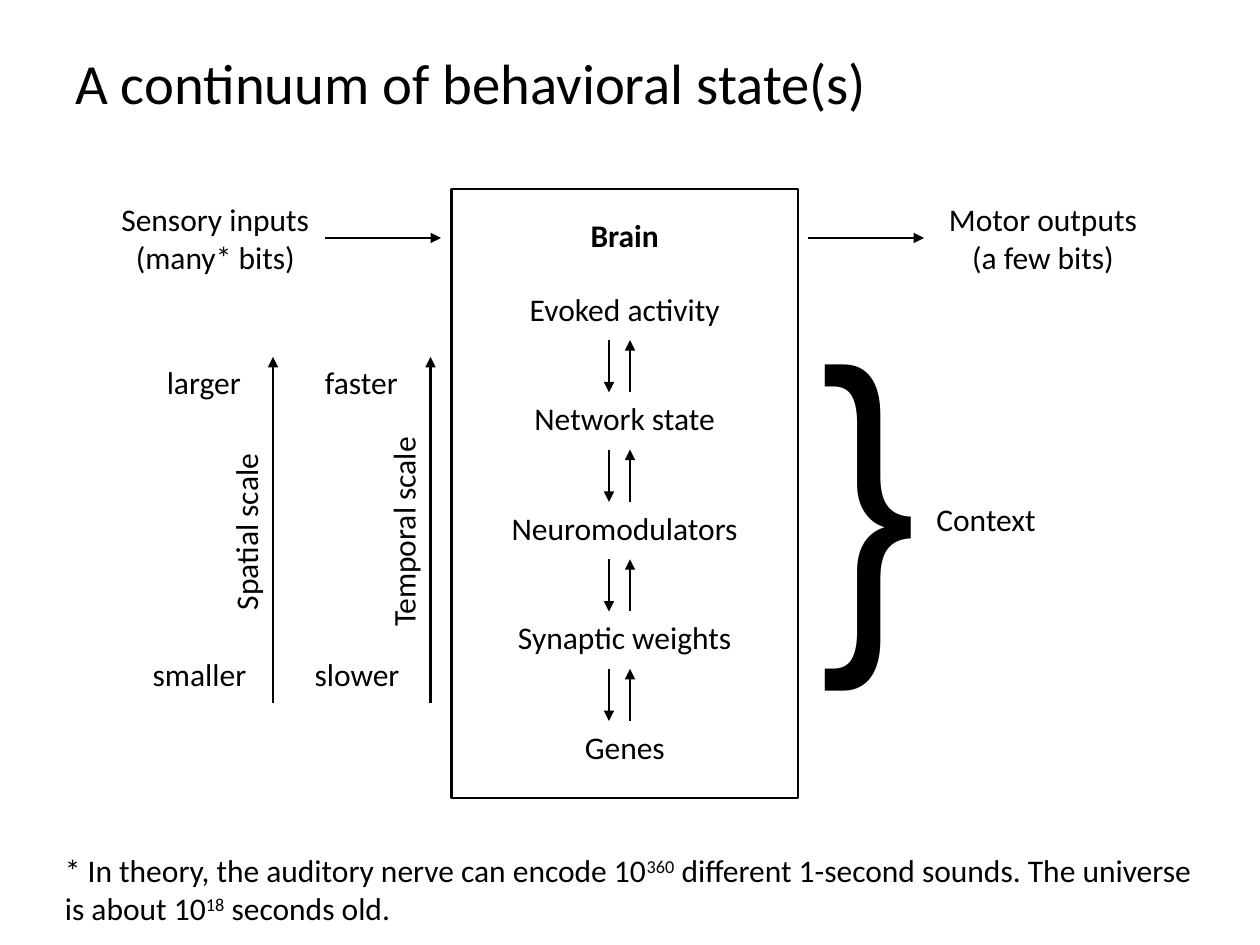
from lxml import etree
from pptx import Presentation
from pptx.dml.color import RGBColor
from pptx.enum.shapes import MSO_CONNECTOR, MSO_SHAPE
from pptx.enum.text import MSO_ANCHOR, PP_ALIGN
from pptx.oxml.ns import qn
from pptx.util import Pt

STRAIGHT = MSO_CONNECTOR.STRAIGHT
RECTANGLE = MSO_SHAPE.RECTANGLE
TOP, MIDDLE = MSO_ANCHOR.TOP, MSO_ANCHOR.MIDDLE
LEFT, CENTER = PP_ALIGN.LEFT, PP_ALIGN.CENTER

COLORS = {"ink": "000000"}
BODY_FONT = "Calibri"
BRACE_FONT = "Arial Narrow"
LABEL_HEIGHT = 32
LINE_WIDTH = 1.5

LEVELS = [
    ("Evoked activity", 149),
    ("Network state", 138),
    ("Neuromodulators", 169),
    ("Synaptic weights", 166),
    ("Genes", 74),
]
LEVEL_TOP = 162
LEVEL_STEP = 62.6
BRAIN_CENTER = 357


def ink():
    return RGBColor.from_string(COLORS["ink"])


def add_text(page, left, top, width, height, lines, size=18, font=BODY_FONT,
             align=LEFT, anchor=TOP, wrap=True, bold=False, rotation=0):
    box = page.shapes.add_textbox(Pt(left), Pt(top), Pt(width), Pt(height))
    box.rotation = rotation
    frame = box.text_frame
    frame.word_wrap = wrap
    frame.vertical_anchor = anchor
    for index, spans in enumerate(lines):
        para = frame.paragraphs[0] if index == 0 else frame.add_paragraph()
        para.alignment = align
        for text, raised in spans:
            span = para.add_run()
            span.text = text
            span.font.name = font
            span.font.size = Pt(size)
            span.font.bold = bold
            span.font.color.rgb = ink()
            if raised:
                span._r.get_or_add_rPr().set("baseline", "30000")


def add_label(page, center, top, width, *lines, bold=False):
    add_text(page, center - width / 2, top, width, LABEL_HEIGHT,
             [[(line, False)] for line in lines],
             align=CENTER, wrap=False, bold=bold)


def add_arrow(page, x1, y1, x2, y2):
    arrow = page.shapes.add_connector(STRAIGHT, Pt(x1), Pt(y1), Pt(x2), Pt(y2))
    arrow.line.width = Pt(LINE_WIDTH)
    arrow.line.color.rgb = ink()
    etree.SubElement(arrow.line._get_or_add_ln(), qn("a:tailEnd"), type="triangle")
    etree.SubElement(arrow._element.spPr, qn("a:effectLst"))


def add_frame(page, left, top, width, height):
    frame = page.shapes.add_shape(RECTANGLE, Pt(left), Pt(top), Pt(width), Pt(height))
    frame.shadow.inherit = False
    frame.fill.background()
    frame.line.color.rgb = ink()
    frame.line.width = Pt(LINE_WIDTH)


def add_levels(page):
    for index, (name, width) in enumerate(LEVELS):
        top = LEVEL_TOP + index * LEVEL_STEP
        add_label(page, BRAIN_CENTER, top, width, name)
        if index < len(LEVELS) - 1:
            upper, lower = top + 32.4, top + 62.2
            add_arrow(page, 348, upper, 348, lower)
            add_arrow(page, 360, lower, 360, upper)


def add_scale(page, axis, title, title_center, title_width, high, low):
    add_arrow(page, axis, 402, axis, 204)
    add_text(page, title_center - title_width / 2, 289.5, title_width, 29,
             [[(title, False)]], align=CENTER, wrap=False, rotation=270)
    for (name, center, width), top in ((high, 204), (low, 371)):
        add_label(page, center, top, width, name)


def main():
    deck = Presentation()
    deck.slide_width, deck.slide_height = Pt(720), Pt(540)
    page = deck.slides.add_slide(deck.slide_layouts[6])

    add_text(page, 36, 21.6, 648, 50.4,
             [[("A continuum of behavioral state(s)", False)]],
             size=32.4, anchor=MIDDLE)

    add_label(page, 123, 111, 126, "Sensory inputs", "(many* bits)")
    add_label(page, 596, 111, 123, "Motor outputs", "(a few bits)")
    add_arrow(page, 186, 136, 252, 136)
    add_arrow(page, 462, 136, 528, 136)

    add_frame(page, 258, 108, 198, 348)
    add_label(page, BRAIN_CENTER, 120, 66, "Brain", bold=True)
    add_levels(page)

    add_scale(page, 156, "Spatial scale", 140.5, 105,
              ("larger", 116.5, 58), ("smaller", 114, 68))
    add_scale(page, 246, "Temporal scale", 230.5, 124,
              ("faster", 206.5, 65), ("slower", 204, 73))

    add_text(page, 462, 150, 45, 250, [[("}", False)]], size=200, font=BRACE_FONT)
    add_text(page, 528, 282, 72, 29, [[("Context", False)]], wrap=False)

    add_text(page, 30, 483, 666, 51, [[
        ("* In theory, the auditory nerve can encode 10", False),
        ("360", True),
        (" different 1-second sounds. The universe is about 10", False),
        ("18", True),
        (" seconds old.", False),
    ]])

    deck.save("out.pptx")


if __name__ == "__main__":
    main()
